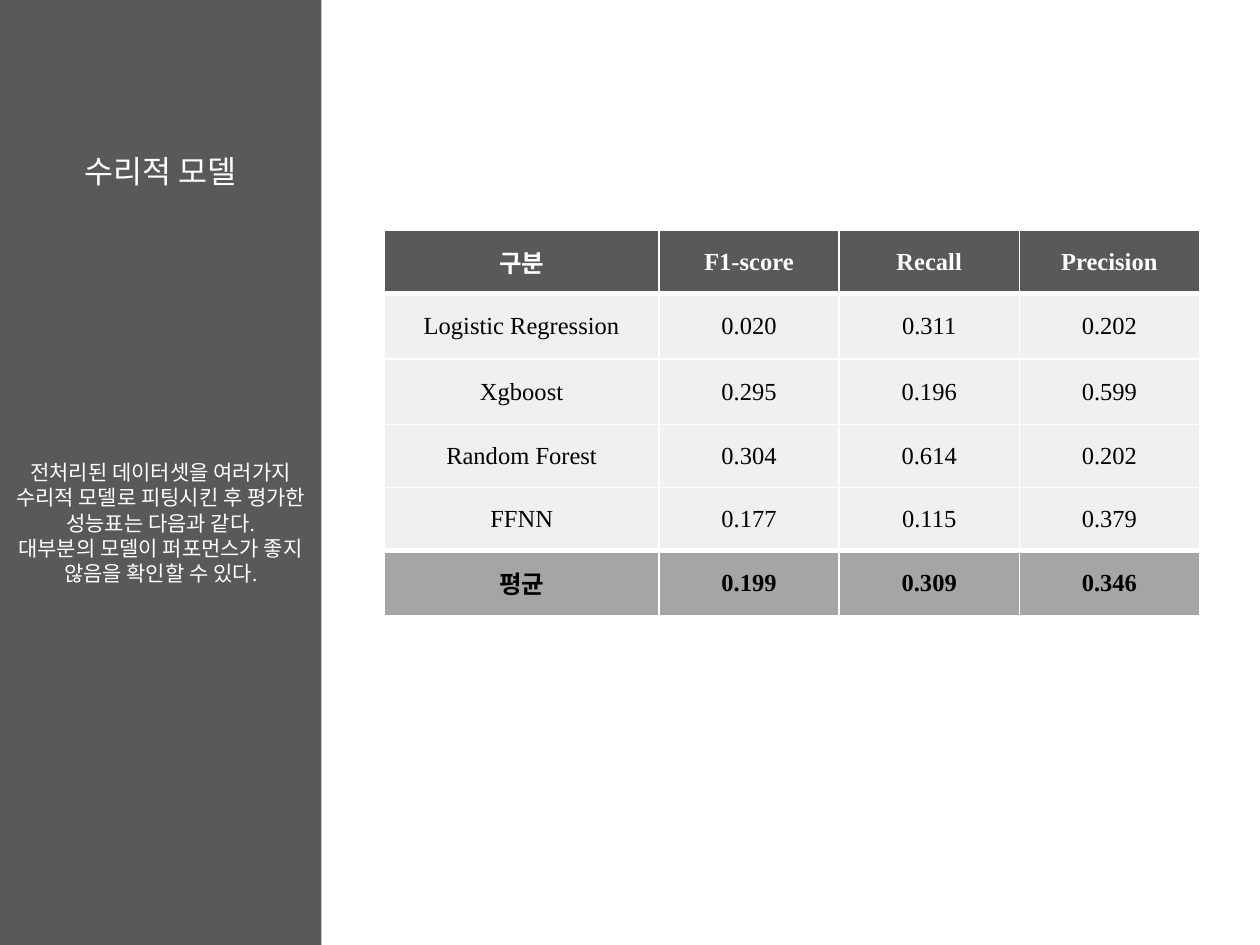
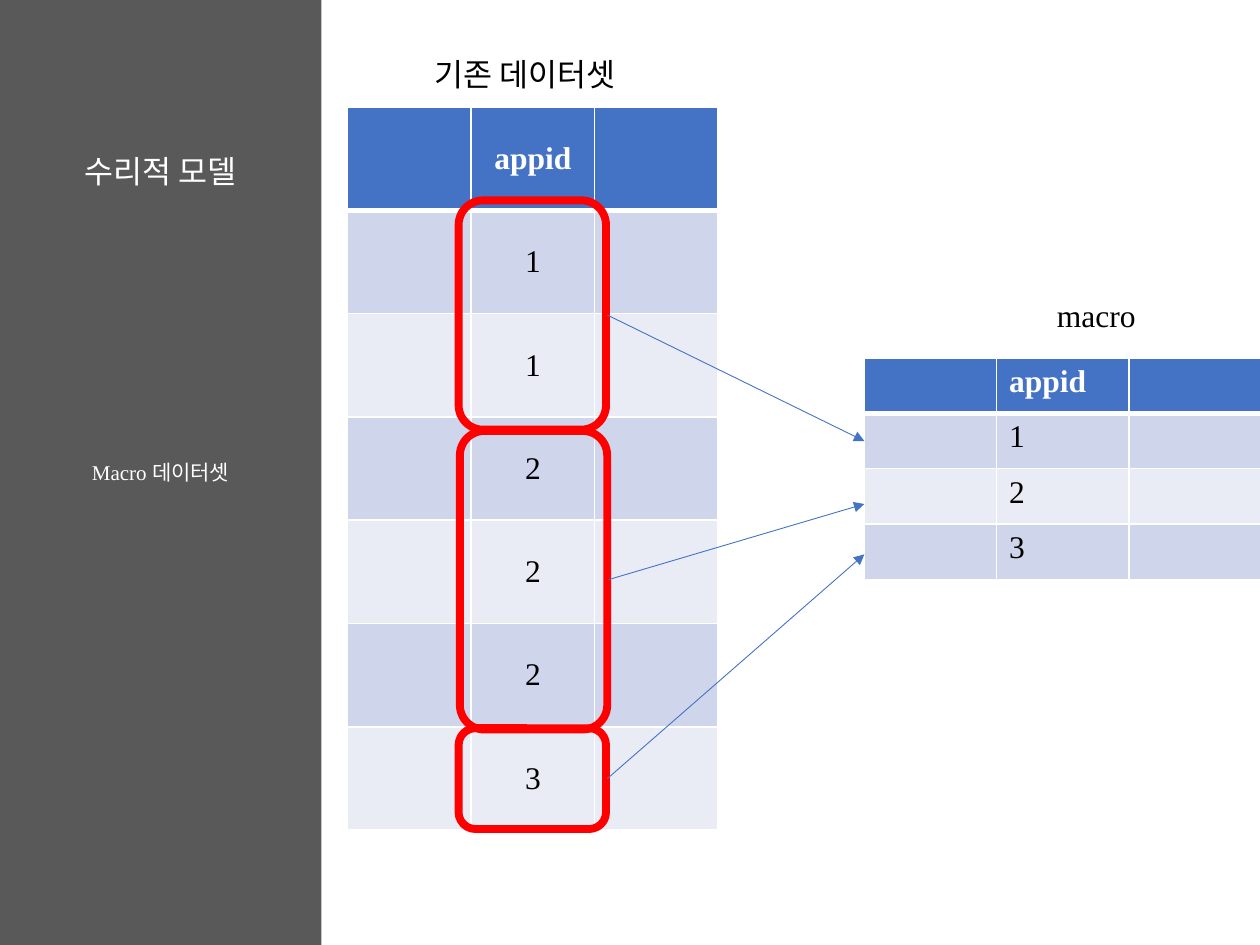
from dataclasses import dataclass

from lxml import etree
from pptx import Presentation, util as u
from pptx.dml.color import RGBColor
from pptx.enum import shapes, text
from pptx.oxml import ns

PX = 9144  # 100 px to the inch


@dataclass(frozen=True)
class Theme:
    font: str = "Times New Roman"
    white: str = "FFFFFF"
    black: str = "000000"
    dark: str = "595959"
    pale: str = "F0F0F0"
    gray: str = "A5A5A5"
    blue: str = "4472C4"
    bands: tuple = ("CFD5EA", "E9EBF5")
    red: str = "FF0000"
    big: int = 18
    mid: int = 14
    small: int = 12


T = Theme()
SIDE = 255  # width of the side panel
MID = text.MSO_ANCHOR.MIDDLE
SCORES = [
    ("구분", "F1-score", "Recall", "Precision"),
    ("Logistic Regression", "0.020", "0.311", "0.202"),
    ("Xgboost", "0.295", "0.196", "0.599"),
    ("Random Forest", "0.304", "0.614", "0.202"),
    ("FFNN", "0.177", "0.115", "0.379"),
    ("평균", "0.199", "0.309", "0.346"),
]


def px(*nums):
    return [u.Emu(n * PX) for n in nums]


def rgb(color):
    return RGBColor.from_string(color)


def sub(node, tag, **attrs):
    return etree.SubElement(node, ns.qn(tag), **attrs)


# Text
def write(frame, words, size=T.big, color=T.black, bold=False, center=False):
    for i, line in enumerate(words.split("\n")):
        para = frame.paragraphs[0] if i == 0 else frame.add_paragraph()
        para.alignment = text.PP_ALIGN.CENTER if center else text.PP_ALIGN.LEFT
        run = para.add_run()
        run.text = line
        font = run.font
        font.name, font.size, font.bold = T.font, u.Pt(size), bold
        font.color.rgb = rgb(color)


def label(slide, box, words, wrap=True, **style):
    frame = slide.shapes.add_textbox(*px(*box)).text_frame
    frame.word_wrap = wrap
    frame.auto_size = text.MSO_AUTO_SIZE.SHAPE_TO_FIT_TEXT
    write(frame, words, **style)


# Shapes and arrows
def block(slide, kind, box, fill=None, line=None, width=0):
    shape = slide.shapes.add_shape(kind, *px(*box))
    shape.shadow.inherit = False
    if fill:
        shape.fill.solid()
        shape.fill.fore_color.rgb = rgb(fill)
    else:
        shape.fill.background()
    if line:
        shape.line.color.rgb = rgb(line)
        shape.line.width = u.Pt(width)
    else:
        shape.line.fill.background()


def arrow(slide, start, end):
    link = slide.shapes.add_connector(
        shapes.MSO_CONNECTOR.STRAIGHT, *px(*start, *end))
    link.line.color.rgb = rgb(T.blue)
    link.line.width = u.Pt(0.5)
    sub(link.line._get_or_add_ln(), "a:tailEnd", type="triangle")
    sub(link._element.spPr, "a:effectLst")


# Tables
def edge(cell, top=1, bottom=1):
    props = cell._tc.get_or_add_tcPr()
    for side, width in zip("LRTB", (1, 1, top, bottom)):
        line = sub(props, f"a:ln{side}", w=str(u.Pt(width)))
        sub(sub(line, "a:solidFill"), "a:srgbClr", val=T.white)


def grid(slide, left, top, cols, rows, data, look, **style):
    """look(row) gives the fill, text colour, bold flag, top and bottom rule."""
    box = px(left, top, sum(cols), sum(rows))
    table = slide.shapes.add_table(len(rows), len(cols), *box).table
    table.first_row = table.horz_banding = False
    for col, width in zip(table.columns, px(*cols)):
        col.width = width
    for r, height in enumerate(px(*rows)):
        table.rows[r].height = height
        fill, color, bold, upper, lower = look(r)
        for c, words in enumerate(data[r]):
            cell = table.cell(r, c)
            edge(cell, upper, lower)
            cell.fill.solid()
            cell.fill.fore_color.rgb = rgb(fill)
            if style.get("center"):
                cell.vertical_anchor = MID
            if words:
                write(cell.text_frame, words, color=color, bold=bold, **style)


def score(row):
    if row == 0:
        return T.dark, T.white, True, 1, 3
    if row == len(SCORES) - 1:
        return T.gray, T.black, True, 3, 1
    return (T.pale, T.black, False,
            3 if row == 1 else 1, 3 if row == len(SCORES) - 2 else 1)


def band(row):
    if row == 0:
        return T.blue, T.white, True, 1, 3
    return T.bands[(row - 1) % 2], T.black, False, 3 if row == 1 else 1, 1


def ids(slide, left, top, width, height, keys, **style):
    data = [("", key, "") for key in ["appid", *keys]]
    grid(slide, left, top, [width] * 3, [height] * len(data), data, band, **style)


# Shared frame: side panel, title and note
def page(deck, note, high):
    slide = deck.slides.add_slide(deck.slide_layouts[6])
    block(slide, shapes.MSO_SHAPE.RECTANGLE, (0, 0, SIDE, 750), fill=T.dark)
    label(slide, (0, 116, SIDE, 40), "수리적 모델", color=T.white, center=True)
    label(slide, (0, 360, SIDE, high), note,
          size=T.small, color=T.white, center=True)
    return slide


def models(deck):
    slide = page(deck, "전처리된 데이터셋을 여러가지 수리적 모델로 피팅시킨 후 "
                 "평가한 성능표는 다음과 같다.\n"
                 "대부분의 모델이 퍼포먼스가 좋지 않음을 확인할 수 있다.", 111)
    grid(slide, 305, 183, [218, 143, 143, 143], [50, 52, 52, 50, 50, 52],
         SCORES, score, size=T.mid, center=True)


def macro(deck):
    slide = page(deck, "Macro 데이터셋", 30)
    ids(slide, 276, 85, 98, 82, "112223", center=True)
    label(slide, (335, 39, 178, 40), "기존 데이터셋", wrap=False)
    ids(slide, 686, 284, 105, 44, "123")
    label(slide, (829, 230, 83, 40), "macro", wrap=False)
    # Each group of equal ids points to its row in the macro table
    groups = [(364, 159, 182, 350), (365, 342, 237, 400), (364, 578, 80, 440)]
    for left, top, high, goal in groups:
        block(slide, shapes.MSO_SHAPE.ROUNDED_RECTANGLE,
              (left, top, 117, high), line=T.red, width=4.5)
        arrow(slide, (left + 118, top + high // 2), (686, goal))


def main():
    deck = Presentation()
    deck.slide_width, deck.slide_height = px(1000, 750)
    models(deck)
    macro(deck)
    deck.save("out.pptx")


if __name__ == "__main__":
    main()
